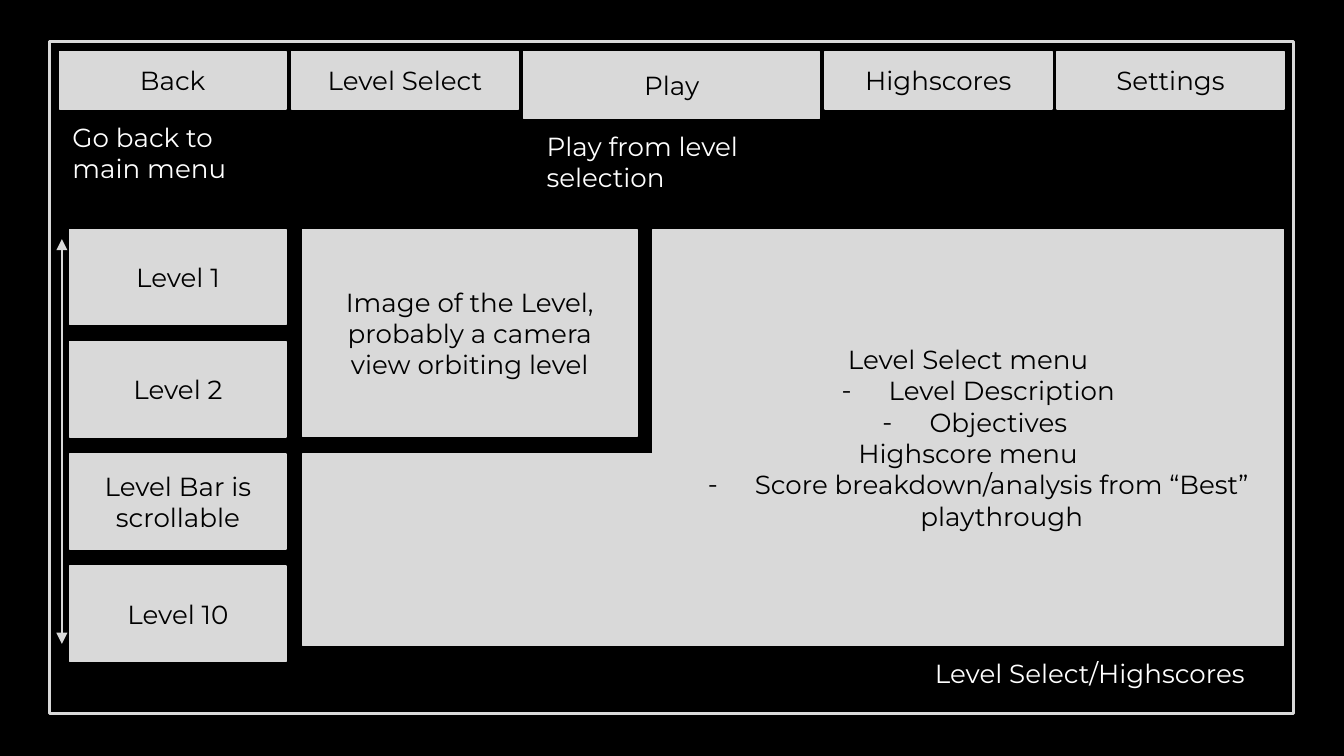
from dataclasses import dataclass

from lxml.etree import SubElement
from pptx import Presentation
from pptx.dml.color import RGBColor
from pptx.enum.shapes import MSO_CONNECTOR, MSO_SHAPE
from pptx.enum.text import MSO_ANCHOR, MSO_AUTO_SIZE, PP_ALIGN
from pptx.oxml.ns import qn
from pptx.util import Cm, Pt

FONT = "Montserrat"
BLACK, WHITE, GREY = "000000", "FFFFFF", "D9D9D9"
MARGIN = 0.25
LEFT, RIGHT = 1.12, 24.26
TAB_TOP, TAB_GAP = 0.97, 0.1
BODY_TOP, BODY_BOTTOM = 4.34, 12.2
LEVEL_PITCH = 2.12
PANEL_LEFT, DETAIL_LEFT = 5.72, 12.34


@dataclass
class Area:
    left: float
    top: float
    width: float
    height: float

    def lengths(self) -> list:
        return [Cm(v) for v in (self.left, self.top, self.width, self.height)]


@dataclass
class Line:
    text: str
    bullet: bool = False


@dataclass
class Tab:
    label: str
    width: float = 4.29
    height: float = 1.09


def rgb(color: str) -> RGBColor:
    return RGBColor.from_string(color)


def add_dash(p) -> None:
    pPr = p._p.get_or_add_pPr()
    pPr.set("marL", str(Cm(1.27)))
    pPr.set("indent", str(Cm(-0.89)))
    SubElement(SubElement(pPr, qn("a:buClr")), qn("a:srgbClr"), val=BLACK)
    SubElement(pPr, qn("a:buFont"), typeface=FONT)
    SubElement(pPr, qn("a:buChar"), char="-")


def write(s, lines: list[Line], color: str, align: PP_ALIGN, anchor: MSO_ANCHOR) -> None:
    tf = s.text_frame
    tf.word_wrap = True
    tf.vertical_anchor = anchor
    tf.margin_left = tf.margin_right = tf.margin_top = tf.margin_bottom = Cm(MARGIN)
    for i, line in enumerate(lines):
        p = tf.add_paragraph() if i else tf.paragraphs[0]
        p.alignment = align
        if line.bullet:
            add_dash(p)
        r = p.add_run()
        r.text = line.text
        r.font.name = FONT
        r.font.size = Pt(14)
        r.font.color.rgb = rgb(color)


def add_frame(slide, area: Area) -> None:
    s = slide.shapes.add_shape(MSO_SHAPE.RECTANGLE, *area.lengths())
    s.shadow.inherit = False
    s.fill.background()
    s.line.color.rgb = rgb(GREY)
    s.line.width = Pt(1.5)


def add_panel(slide, area: Area, *lines: Line) -> None:
    s = slide.shapes.add_shape(MSO_SHAPE.RECTANGLE, *area.lengths())
    s.shadow.inherit = False
    s.fill.solid()
    s.fill.fore_color.rgb = rgb(GREY)
    s.line.color.rgb = rgb(GREY)
    s.line.width = Pt(0.75)
    write(s, list(lines), BLACK, PP_ALIGN.CENTER, MSO_ANCHOR.MIDDLE)


def add_note(slide, area: Area, text: str) -> None:
    s = slide.shapes.add_textbox(*area.lengths())
    write(s, [Line(text)], WHITE, PP_ALIGN.LEFT, MSO_ANCHOR.TOP)
    s.text_frame.auto_size = MSO_AUTO_SIZE.SHAPE_TO_FIT_TEXT


def add_scroll_arrow(slide, x: float, top: float, bottom: float) -> None:
    s = slide.shapes.add_connector(MSO_CONNECTOR.STRAIGHT, Cm(x), Cm(top), Cm(x), Cm(bottom))
    s.line.color.rgb = rgb(GREY)
    s.line.width = Pt(0.75)
    ln = s.line._get_or_add_ln()
    for end in ("a:headEnd", "a:tailEnd"):
        SubElement(ln, qn(end), type="triangle", w="med", len="med")
    SubElement(s._element.spPr, qn("a:effectLst"))


def main() -> None:
    prs = Presentation()
    prs.slide_width, prs.slide_height = Cm(25.4), Cm(14.29)
    slide = prs.slides.add_slide(prs.slide_layouts[6])
    slide.background.fill.solid()
    slide.background.fill.fore_color.rgb = rgb(BLACK)

    add_frame(slide, Area(0.94, 0.79, 23.5, 12.7))

    tabs = [Tab("Back"), Tab("Level Select"), Tab("Play", 5.59, 1.27),
            Tab("Highscores"), Tab("Settings")]
    left = LEFT
    for tab in tabs:
        add_panel(slide, Area(left, TAB_TOP, tab.width, tab.height), Line(tab.label))
        left += tab.width + TAB_GAP

    add_note(slide, Area(17.42, 12.17, 6.86, 1.12), "Level Select/Highscores")
    add_note(slide, Area(LEFT, 2.04, 4.27, 1.7), "Go back to main menu")
    add_note(slide, Area(10.08, 2.21, 5.23, 1.7), "Play from level selection")

    levels = ["Level 1", "Level 2", "Level Bar is scrollable", "Level 10"]
    for i, level in enumerate(levels):
        add_panel(slide, Area(1.32, BODY_TOP + i * LEVEL_PITCH, 4.09, 1.8), Line(level))
    add_scroll_arrow(slide, 1.17, 4.52, 12.17)

    add_panel(slide, Area(PANEL_LEFT, BODY_TOP, 6.32, 3.91),
              Line("Image of the Level, probably a camera view orbiting level"))
    add_panel(slide, Area(DETAIL_LEFT, BODY_TOP, RIGHT - DETAIL_LEFT, BODY_BOTTOM - BODY_TOP),
              Line("Level Select menu"),
              Line("Level Description", True),
              Line("Objectives ", True),
              Line("Highscore menu"),
              Line("Score breakdown/analysis from “Best” playthrough", True))
    lower_top = BODY_TOP + 2 * LEVEL_PITCH
    add_panel(slide, Area(PANEL_LEFT, lower_top, DETAIL_LEFT - PANEL_LEFT, BODY_BOTTOM - lower_top))

    prs.save("out.pptx")


if __name__ == "__main__":
    main()
